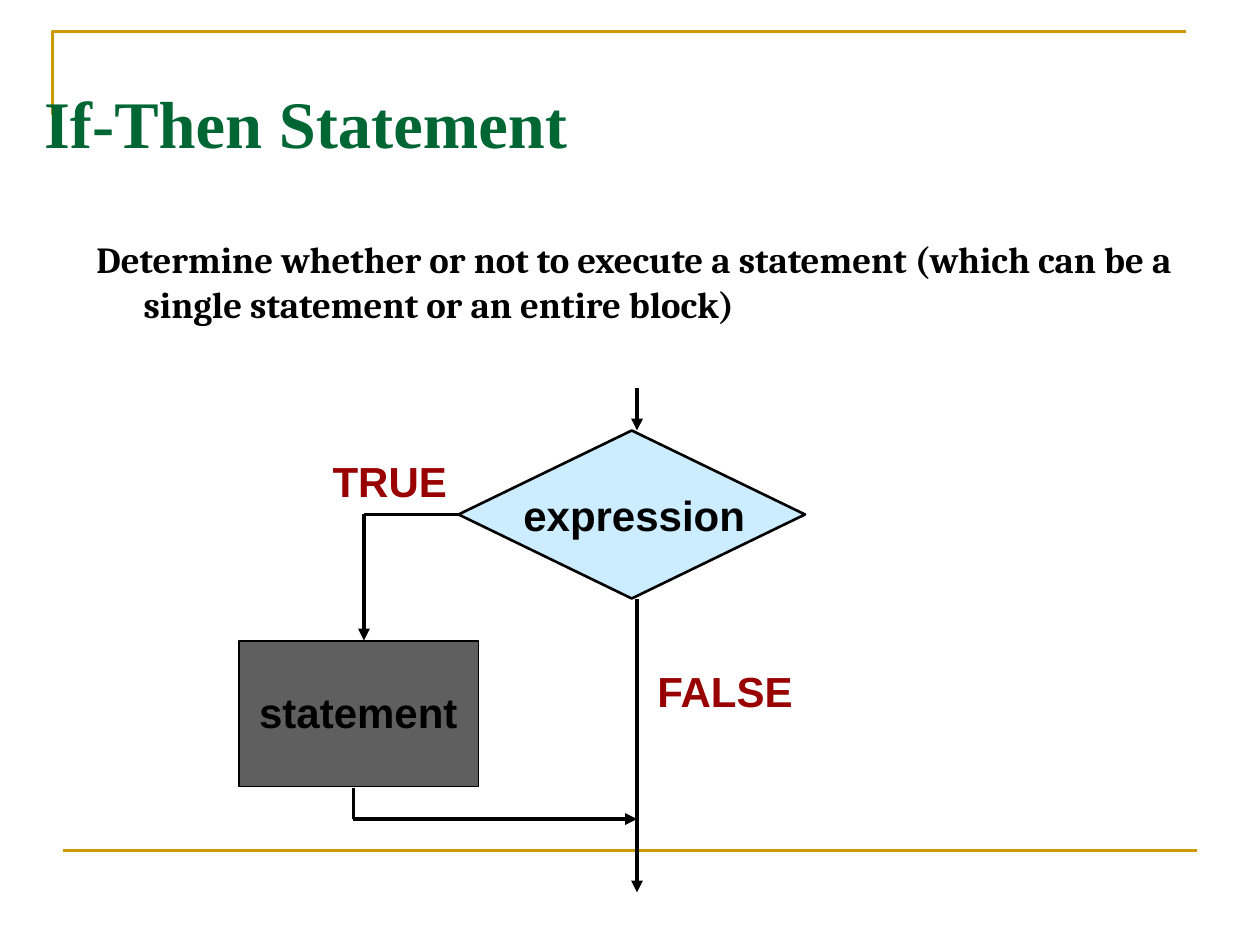
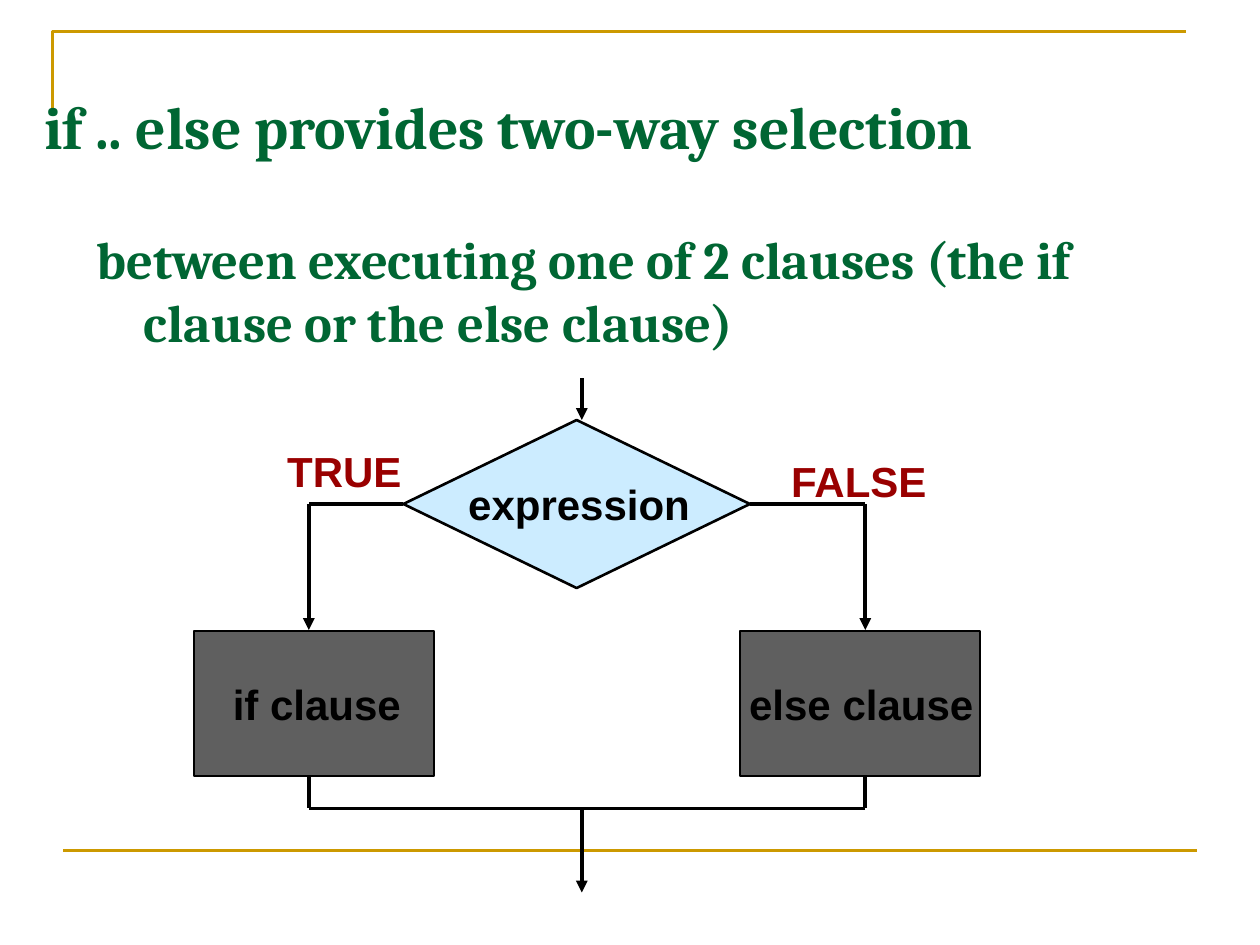
from lxml.etree import SubElement
from pptx import Presentation
from pptx.dml.color import RGBColor
from pptx.enum.shapes import MSO_CONNECTOR, MSO_SHAPE
from pptx.enum.text import MSO_ANCHOR, MSO_AUTO_SIZE, PP_ALIGN
from pptx.oxml.ns import qn
from pptx.util import Pt

GOLD = RGBColor(0xCC, 0x99, 0x00)
GREEN = RGBColor(0x00, 0x66, 0x33)
RED = RGBColor(0x99, 0x00, 0x00)
BLACK = RGBColor(0x00, 0x00, 0x00)
GREY = RGBColor(0x5F, 0x5F, 0x5F)
SKY = RGBColor(0xCC, 0xEC, 0xFF)
SANS, SERIF, ROMAN = "Arial", "Cambria", "Times New Roman"
LEFT, RIGHT = 1, 3  # connection sites


class Deck:
    def __init__(self):
        self.prs = Presentation()
        self.prs.slide_width, self.prs.slide_height = Pt(720), Pt(540)
        self.layout = self.prs.slide_layouts[5]
        self.slide = None

    def page(self, title, font, size, top):
        """Start a slide with its title."""
        self.slide = self.prs.slides.add_slide(self.layout)
        if len(self.prs.slides) == 1:
            self.frame()
        box = self.slide.shapes.title
        box.left, box.top = Pt(18), Pt(top)
        box.width, box.height = Pt(678), Pt(96 - top)
        text = box.text_frame
        text.auto_size = MSO_AUTO_SIZE.NONE
        text.vertical_anchor = MSO_ANCHOR.BOTTOM
        self.run(text, title, font, size, GREEN)

    def frame(self):
        """Draw the gold lines once and move them to the layout."""
        path = self.slide.shapes.build_freeform(Pt(30), Pt(66))
        path.add_line_segments([(Pt(30), Pt(18)), (Pt(678), Pt(18))], close=False)
        edge = path.convert_to_shape()
        edge.shadow.inherit = False
        edge.fill.background()
        edge.line.color.rgb, edge.line.width = GOLD, Pt(1.5)
        foot = self.line(36, 486, 684, 486, color=GOLD, width=1.5)
        for num, part in enumerate((edge, foot), 20):
            part.element.xpath(".//p:cNvPr")[0].set("id", str(num))
            self.layout.shapes.element.append(part.element)

    def run(self, text, words, font, size, color):
        par = text.paragraphs[0]
        par.alignment = PP_ALIGN.LEFT
        run = par.add_run()
        run.text = words
        run.font.name, run.font.size = font, Pt(size)
        run.font.bold, run.font.color.rgb = True, color
        return par

    def body(self, words, top, width, height, size, color):
        box = self.slide.shapes.add_textbox(Pt(48), Pt(top), Pt(width), Pt(height))
        box.text_frame.word_wrap = True
        par = self.run(box.text_frame, words, SERIF, size, color)
        props = par._p.get_or_add_pPr()
        props.set("marL", str(Pt(27)))
        props.set("indent", str(-Pt(27)))

    def label(self, words, left, top, width, color=BLACK):
        box = self.slide.shapes.add_textbox(Pt(left), Pt(top), Pt(width), Pt(36))
        box.text_frame.word_wrap = False
        box.text_frame.auto_size = MSO_AUTO_SIZE.SHAPE_TO_FIT_TEXT
        self.run(box.text_frame, words, SANS, 24, color)

    def shape(self, kind, left, top, width, height, fill, edge):
        item = self.slide.shapes.add_shape(
            kind, Pt(left), Pt(top), Pt(width), Pt(height))
        item.shadow.inherit = False
        item.fill.solid()
        item.fill.fore_color.rgb = fill
        item.line.color.rgb, item.line.width = BLACK, Pt(edge)
        return item

    def block(self, left, top):
        return self.shape(MSO_SHAPE.RECTANGLE, left, top, 137, 83, GREY, 1)

    def line(self, x1, y1, x2, y2, arrow=False, color=BLACK, width=2.25):
        item = self.slide.shapes.add_connector(
            MSO_CONNECTOR.STRAIGHT, Pt(x1), Pt(y1), Pt(x2), Pt(y2))
        item.line.color.rgb, item.line.width = color, Pt(width)
        if arrow:
            SubElement(item.line._get_or_add_ln(), qn("a:tailEnd"), type="triangle")
        SubElement(item.element.spPr, qn("a:effectLst"))
        return item

    def test(self, left, top):
        """Decision diamond with its label and the arrow coming in."""
        gem = self.shape(MSO_SHAPE.FLOWCHART_DECISION, left, top, 198, 96, SKY, 1.5)
        self.label("expression", left + 30, top + 30, 141)
        self.line(left + 102, top - 24, left + 102, top, arrow=True)
        return gem

    def branch(self, gem, side, x):
        """Line out of a diamond's side, then an arrow down."""
        start = gem.left.pt + (gem.width.pt if side == RIGHT else 0)
        y = gem.top.pt + 48
        self.line(start, y, x, y).begin_connect(gem, side)
        self.line(x, y, x, y + 72, arrow=True)


def main():
    deck = Deck()

    # One-way selection
    deck.page("If-Then Statement", ROMAN, 38, 30)
    deck.body("Determine whether or not to execute a statement "
              "(which can be a single statement or an entire block)",
              132, 630, 102, 21, BLACK)
    deck.block(136.5, 366.5)
    deck.label("statement", 141, 389, 128)
    gem = deck.test(262, 246)
    deck.branch(gem, LEFT, 208)
    deck.label("TRUE", 183, 257, 80, RED)
    deck.label("FALSE", 368.5, 376.5, 93, RED)
    # Way out
    deck.line(202, 450, 202, 468)
    deck.line(202, 468, 364, 468, arrow=True)
    deck.line(364, 342, 364, 456)
    deck.line(364, 456, 364, 510, arrow=True)

    # Two-way selection
    deck.page("if .. else provides two-way selection", SERIF, 34, 7)
    deck.body("between executing one of 2 clauses "
              "(the if clause or the else clause)",
              126, 636, 90, 30, GREEN)
    gem = deck.test(230.5, 240)
    for side, x, left in ((LEFT, 176.5, 111), (RIGHT, 494.5, 423)):
        deck.block(left, 360.5)
        deck.branch(gem, side, x)
        deck.line(x, 444, x, 462)
    deck.label("TRUE", 157, 251, 80, RED)
    deck.label("FALSE", 445, 257, 93, RED)
    deck.label("if clause", 126, 384, 111)
    deck.label("else clause", 421, 384, 143)
    # Way out
    deck.line(176.5, 462, 494.5, 462)
    deck.line(332.5, 462, 332.5, 510, arrow=True)

    deck.prs.save("out.pptx")


if __name__ == "__main__":
    main()
